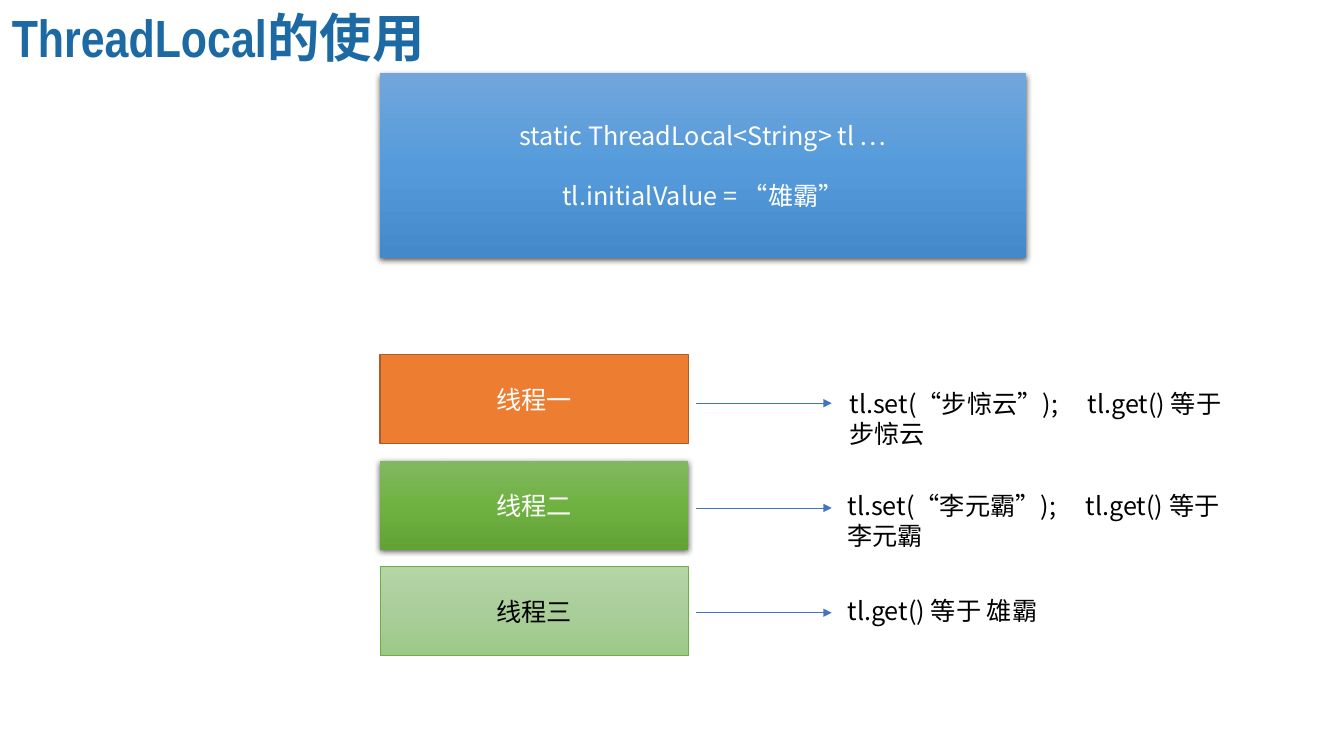
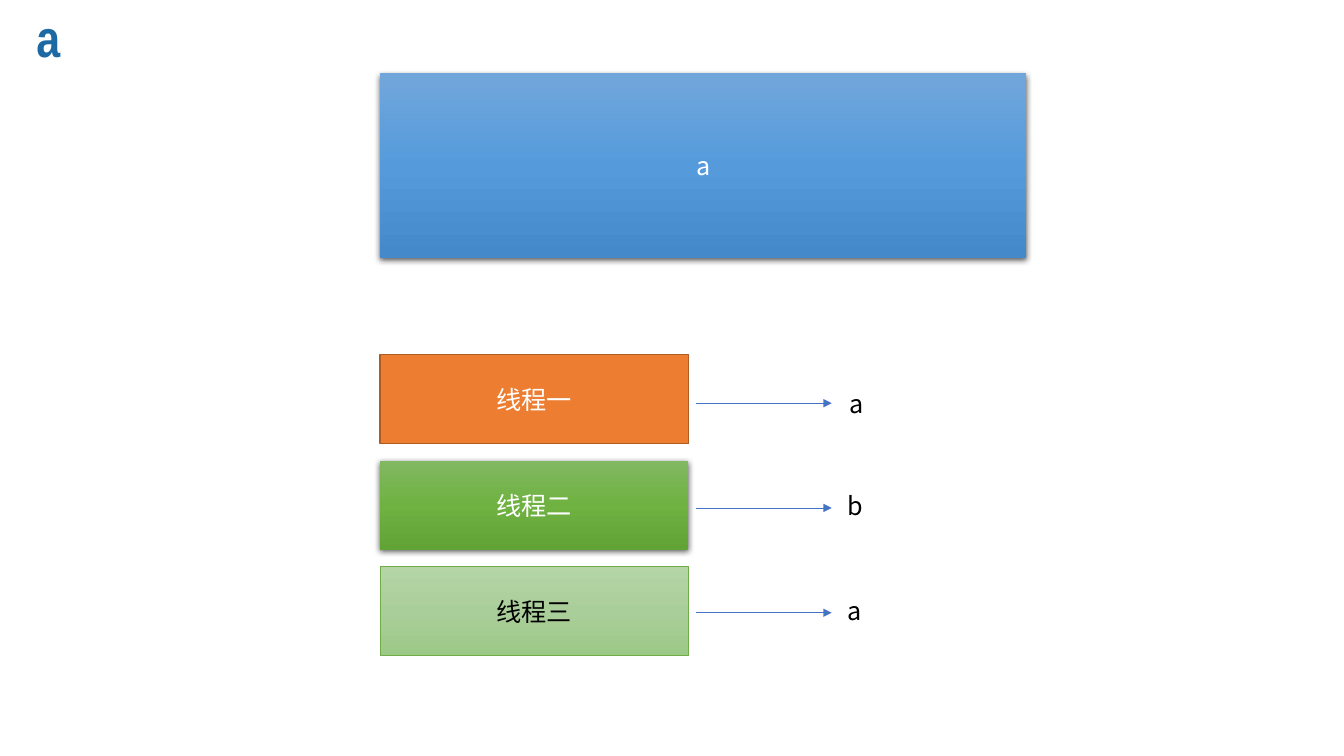
from copy import deepcopy
from dataclasses import dataclass

from lxml import etree
from pptx import Presentation
from pptx import util as u
from pptx.dml.color import RGBColor
from pptx.enum import lang, shapes, text
from pptx.oxml.ns import qn


@dataclass(frozen=True)
class Theme:
    title_font: str = "Arial Narrow"
    body_font: str = "Noto Sans CJK SC"
    title_size: float = 37.4
    body_size: float = 18
    title: str = "1D69A3"
    light: str = "FFFFFF"
    dark: str = "000000"
    arrow: str = "4472C4"
    variable: tuple = ("71A6DB", "559BDB", "448ACA")
    first: tuple = ("ED7D31",)
    second: tuple = ("81B861", "6FB242", "62A336")
    third: tuple = ("B5D5A7", "AACE9A", "9CC987")
    first_edge: str = "AF5C24"
    third_edge: str = "70AD47"


theme = Theme()


def write(shape, words, color, align=text.PP_ALIGN.LEFT, heading=False):
    frame = shape.text_frame
    frame.text = words
    frame.word_wrap = True
    for paragraph in frame.paragraphs:
        paragraph.alignment = align
        for run in paragraph.runs:
            run.font.name = theme.title_font if heading else theme.body_font
            run.font.size = u.Pt(theme.title_size if heading else theme.body_size)
            run.font.bold = heading
            run.font.color.rgb = RGBColor.from_string(color)
            run.font.language_id = lang.MSO_LANGUAGE_ID.SIMPLIFIED_CHINESE
            etree.SubElement(run._r.get_or_add_rPr(), qn("a:ea"), typeface=theme.body_font)
    return frame


def add_box(slide, place, words, color, colors, edge=None, weight=0):
    box = slide.shapes.add_shape(shapes.MSO_SHAPE.RECTANGLE, *map(u.Cm, place))
    box.shadow.inherit = False
    properties = box._element.spPr
    if len(colors) == 1:
        box.fill.solid()
        box.fill.fore_color.rgb = RGBColor.from_string(colors[0])
    else:
        box.fill.gradient()
        box.fill.gradient_angle = 270
        stops = properties.find(qn("a:gradFill")).find(qn("a:gsLst"))
        stops.append(deepcopy(stops[0]))
        for index, stop in enumerate(box.fill.gradient_stops):
            stop.color.rgb = RGBColor.from_string(colors[index])
            stop.position = index / 2
    if edge:
        box.line.color.rgb = RGBColor.from_string(edge)
        box.line.width = u.Pt(weight)
    else:
        box.line.fill.background()
        shadow = etree.SubElement(
            properties.find(qn("a:effectLst")), qn("a:outerShdw"),
            blurRad=str(u.Pt(4.5)), dist=str(u.Pt(1.5)), dir="5400000",
            algn="ctr", rotWithShape="0")
        tone = etree.SubElement(shadow, qn("a:srgbClr"), val=theme.dark)
        etree.SubElement(tone, qn("a:alpha"), val="63000")
    frame = write(box, words, color, text.PP_ALIGN.CENTER)
    frame.vertical_anchor = text.MSO_ANCHOR.MIDDLE
    for paragraph in frame.paragraphs[1:]:
        paragraph.space_before = u.Pt(21.5)


threads = [
    ("线程一", theme.light, theme.first, theme.first_edge, 1),
    ("线程二", theme.light, theme.second, None, 0),
    ("线程三", theme.dark, theme.third, theme.third_edge, 0.5),
]
result_places = [(21.16, 9.65), (21.11, 12.22), (21.11, 14.88)]
pages = [
    ("ThreadLocal的使用", 11.46,
     "static ThreadLocal<String> tl …\ntl.initialValue = “雄霸”",
     ["tl.set(“步惊云”);\ttl.get() 等于 步惊云",
      "tl.set(“李元霸”);\ttl.get() 等于 李元霸",
      "tl.get() 等于 雄霸"]),
    ("a", 2.9, "a", ["a", "b", "a"]),
]

deck = Presentation()
deck.slide_width, deck.slide_height = u.Cm(33.87), u.Cm(19.05)

for heading, heading_width, variable, results in pages:
    slide = deck.slides.add_slide(deck.slide_layouts[6])
    title = slide.shapes.add_textbox(u.Cm(-0.23), 0, u.Cm(heading_width), u.Cm(1.85))
    write(title, heading, theme.title, text.PP_ALIGN.CENTER, heading=True)
    title.text_frame.auto_size = text.MSO_AUTO_SIZE.SHAPE_TO_FIT_TEXT
    add_box(slide, (9.58, 1.85, 16.28, 4.65), variable, theme.light, theme.variable)

    for row, (thread, result, place) in enumerate(zip(threads, results, result_places)):
        add_box(slide, (9.58, 8.94 + row * 2.67, 7.77, 2.24), *thread)

        level = u.Cm(10.16 + row * 2.64)
        arrow = slide.shapes.add_connector(
            shapes.MSO_CONNECTOR.STRAIGHT, u.Cm(17.55), level, u.Cm(20.96), level)
        arrow.line.color.rgb = RGBColor.from_string(theme.arrow)
        arrow.line.width = u.Pt(0.5)
        outline = arrow._element.spPr
        etree.SubElement(outline.find(qn("a:ln")), qn("a:tailEnd"), type="triangle")
        etree.SubElement(outline, qn("a:effectLst"))

        note = slide.shapes.add_textbox(*map(u.Cm, (*place, 10.54, 1.02)))
        frame = write(note, result, theme.dark)
        frame.auto_size = text.MSO_AUTO_SIZE.SHAPE_TO_FIT_TEXT
        if "\t" in result:
            tabs = etree.SubElement(frame.paragraphs[0]._p.get_or_add_pPr(), qn("a:tabLst"))
            etree.SubElement(tabs, qn("a:tab"), pos=str(u.Cm(6)), algn="l")

deck.save("out.pptx")
